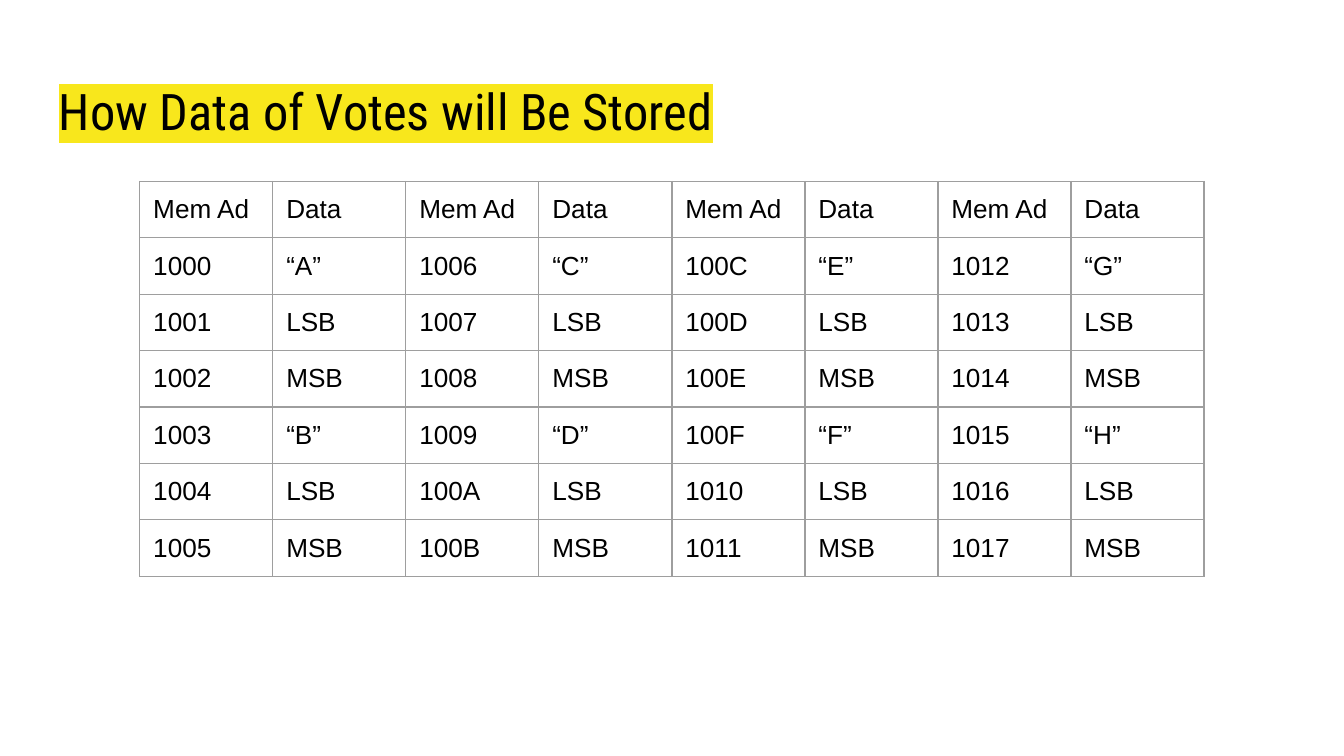
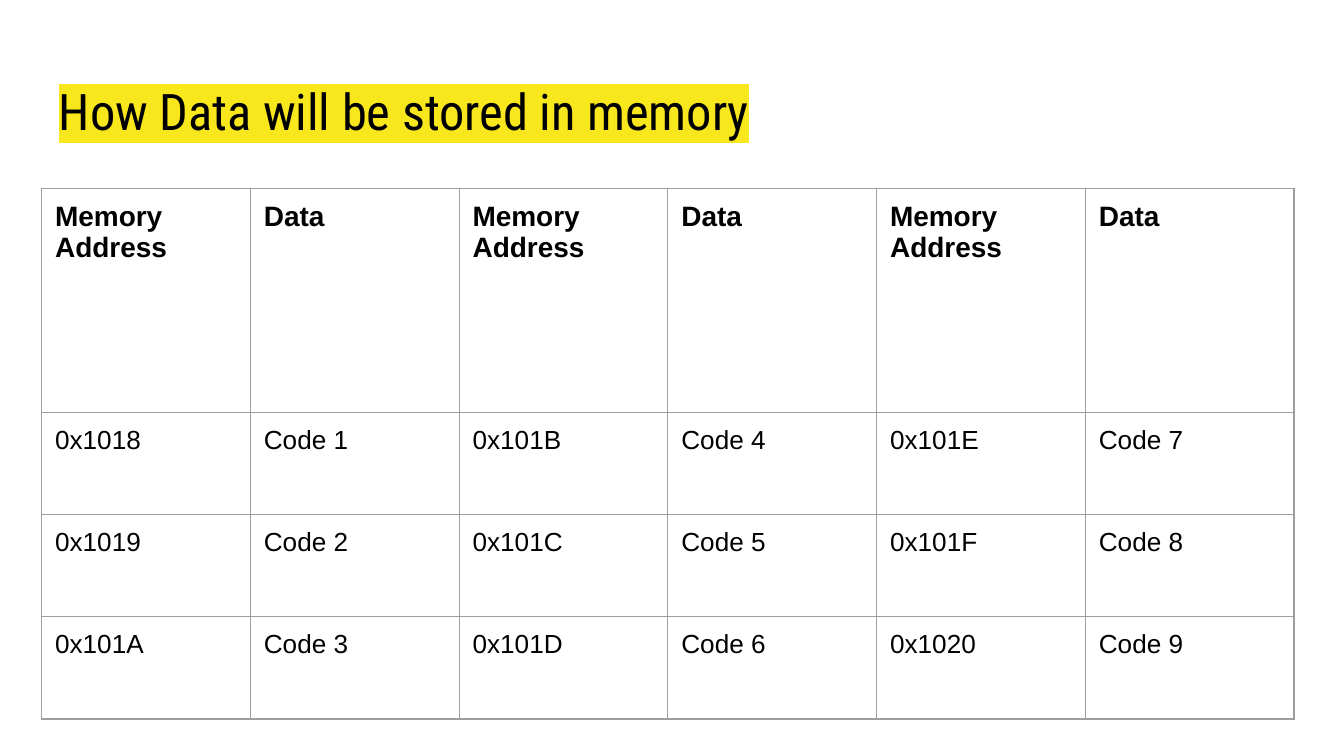
"""Build two slides with tables showing how votes and code are stored in memory."""
from lxml import etree
from pptx import Presentation
from pptx.dml.color import RGBColor
from pptx.enum.text import MSO_ANCHOR
from pptx.oxml.ns import qn
from pptx.util import Inches, Pt

MIDDLE = MSO_ANCHOR.MIDDLE
BLANK = 6
COLORS = {"text": "000000", "highlight": "F8E71C", "border": "9E9E9E"}
TITLE_FONT, BODY_FONT = "Roboto Condensed", "Arial"
BORDER_WIDTH = Pt(0.75)
MARGIN = Inches(0.1)


def add_title(slide, text):
    title = slide.shapes.add_textbox(Inches(0.34), Inches(0.49), Inches(9.32), Inches(0.63))
    frame = title.text_frame
    frame.word_wrap = True
    frame.vertical_anchor = MIDDLE
    frame.margin_left = frame.margin_right = frame.margin_top = frame.margin_bottom = MARGIN
    frame.text = text
    frame.paragraphs[0].line_spacing = 1.08
    run = frame.paragraphs[0].runs[0]
    run.font.size = Pt(27)
    run.font.name = TITLE_FONT
    run.font.color.rgb = RGBColor.from_string(COLORS["text"])
    highlight = etree.Element(qn("a:highlight"))
    etree.SubElement(highlight, qn("a:srgbClr"), val=COLORS["highlight"])
    run._r.get_or_add_rPr().find(qn("a:solidFill")).addnext(highlight)


def add_memory_table(slide, left, top, width, row_heights, rows, header_size, header_bold):
    columns = len(rows[0])
    table = slide.shapes.add_table(
        len(rows), columns, Inches(left), Inches(top), Inches(width), Inches(sum(row_heights))
    ).table
    table.first_row = table.horz_banding = False
    for column in table.columns:
        column.width = Inches(width / columns)
    for r, (height, values) in enumerate(zip(row_heights, rows)):
        table.rows[r].height = Inches(height)
        for c, value in enumerate(values):
            cell = table.cell(r, c)
            cell.margin_left = cell.margin_right = cell.margin_top = MARGIN
            cell.margin_bottom = Inches(0.08)
            cell.text_frame.text = value
            font = cell.text_frame.paragraphs[0].runs[0].font
            font.name = BODY_FONT
            font.size = Pt(14 if r else header_size)
            font.bold = header_bold and r == 0
            font.color.rgb = RGBColor.from_string(COLORS["text"])
            properties = cell._tc.get_or_add_tcPr()
            for side in ("a:lnL", "a:lnR", "a:lnT", "a:lnB"):
                border = etree.SubElement(properties, qn(side), w=str(BORDER_WIDTH))
                fill = etree.SubElement(border, qn("a:solidFill"))
                etree.SubElement(fill, qn("a:srgbClr"), val=COLORS["border"])
            cell.fill.background()


prs = Presentation()
prs.slide_width = Inches(10)
prs.slide_height = Inches(10 * 9 / 16)

candidates = "ABCDEFGH"
vote_data = [value for name in candidates for value in (f"“{name}”", "LSB", "MSB")]
vote_rows = [["Mem Ad", "Data"] * 4]
for first in range(6):
    vote_rows.append([
        text
        for offset in range(first, len(vote_data), 6)
        for text in (f"{0x1000 + offset:X}", vote_data[offset])
    ])

code_rows = [["Memory Address", "Data"] * 3]
for first in range(3):
    code_rows.append([
        text
        for offset in range(first, 9, 3)
        for text in (f"0x{0x1018 + offset:X}", f"Code {offset + 1}")
    ])

votes_slide = prs.slides.add_slide(prs.slide_layouts[BLANK])
add_title(votes_slide, "How Data of Votes will Be Stored")
add_memory_table(votes_slide, 1.04, 1.35, 7.92, [0.42] * 7, vote_rows, 14, False)

code_slide = prs.slides.add_slide(prs.slide_layouts[BLANK])
add_memory_table(code_slide, 0.31, 1.4, 9.32, [1.67] + [0.76] * 3, code_rows, 15, True)
add_title(code_slide, "How Data will be stored in memory")

prs.save("out.pptx")
